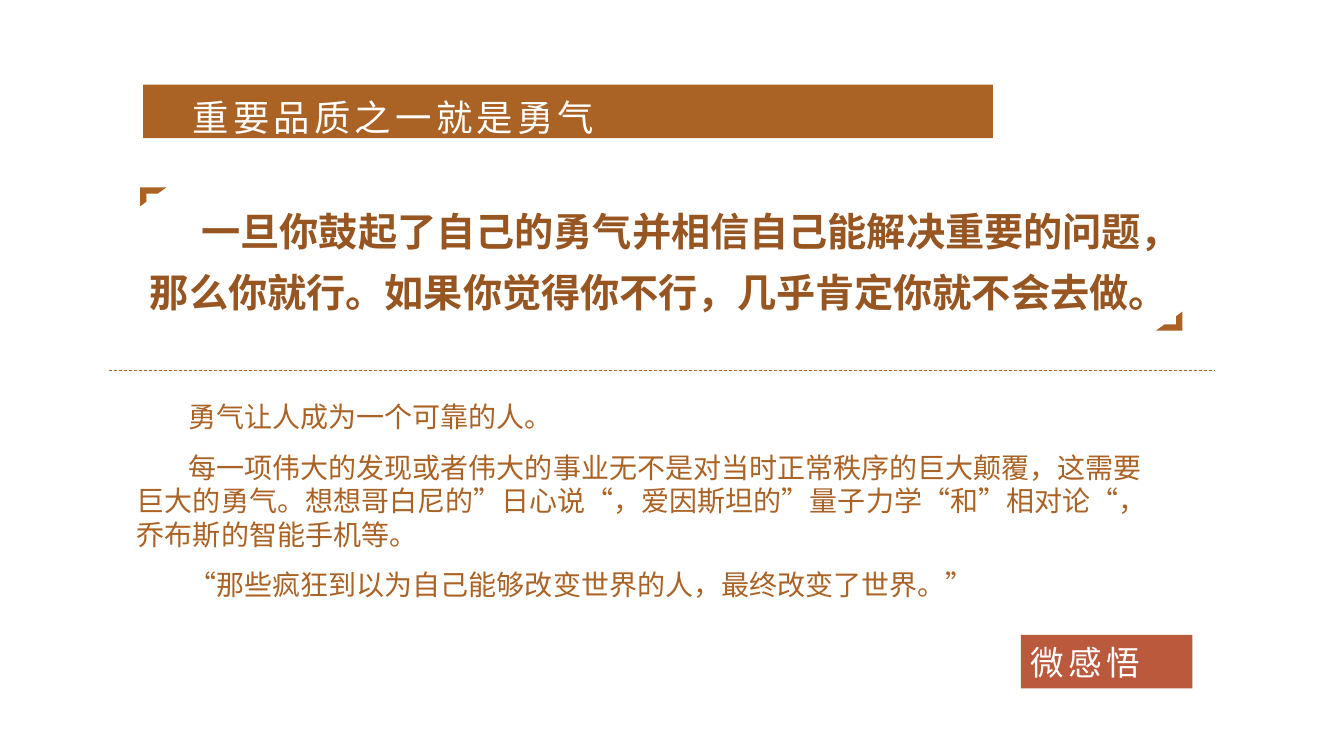
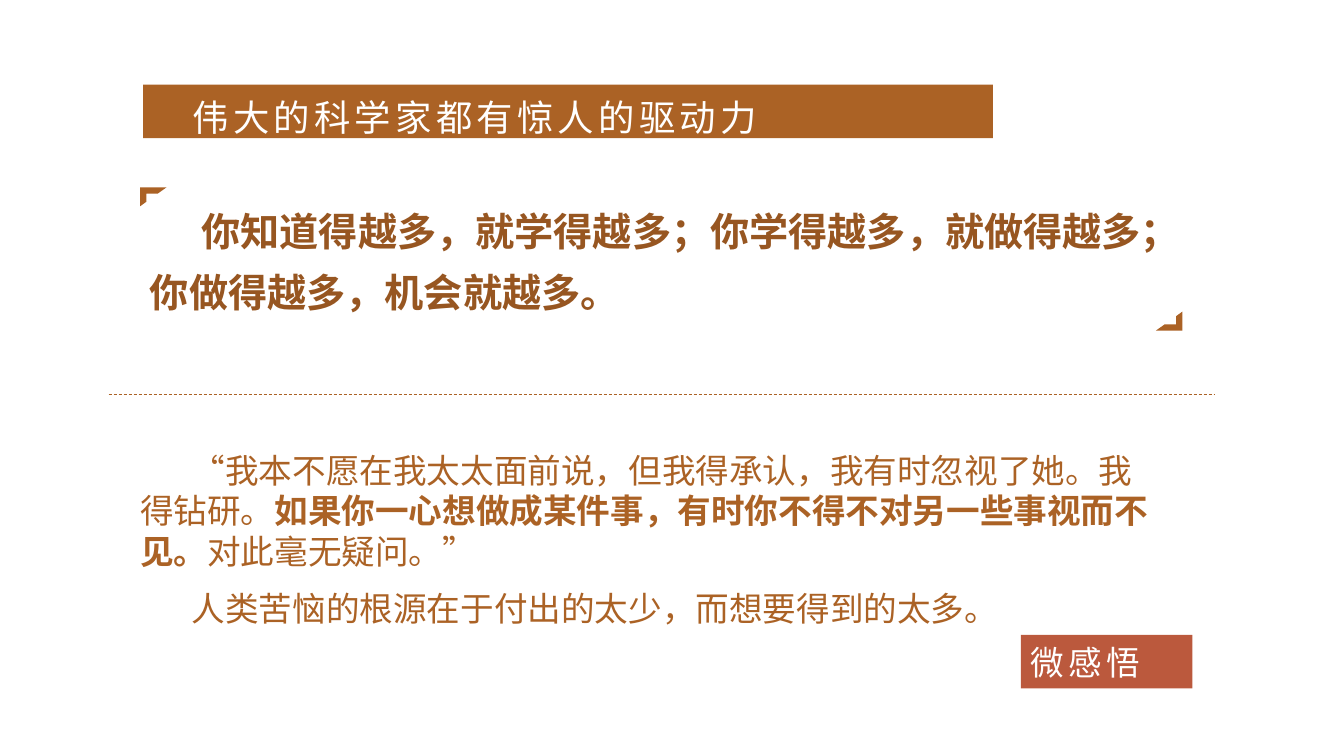
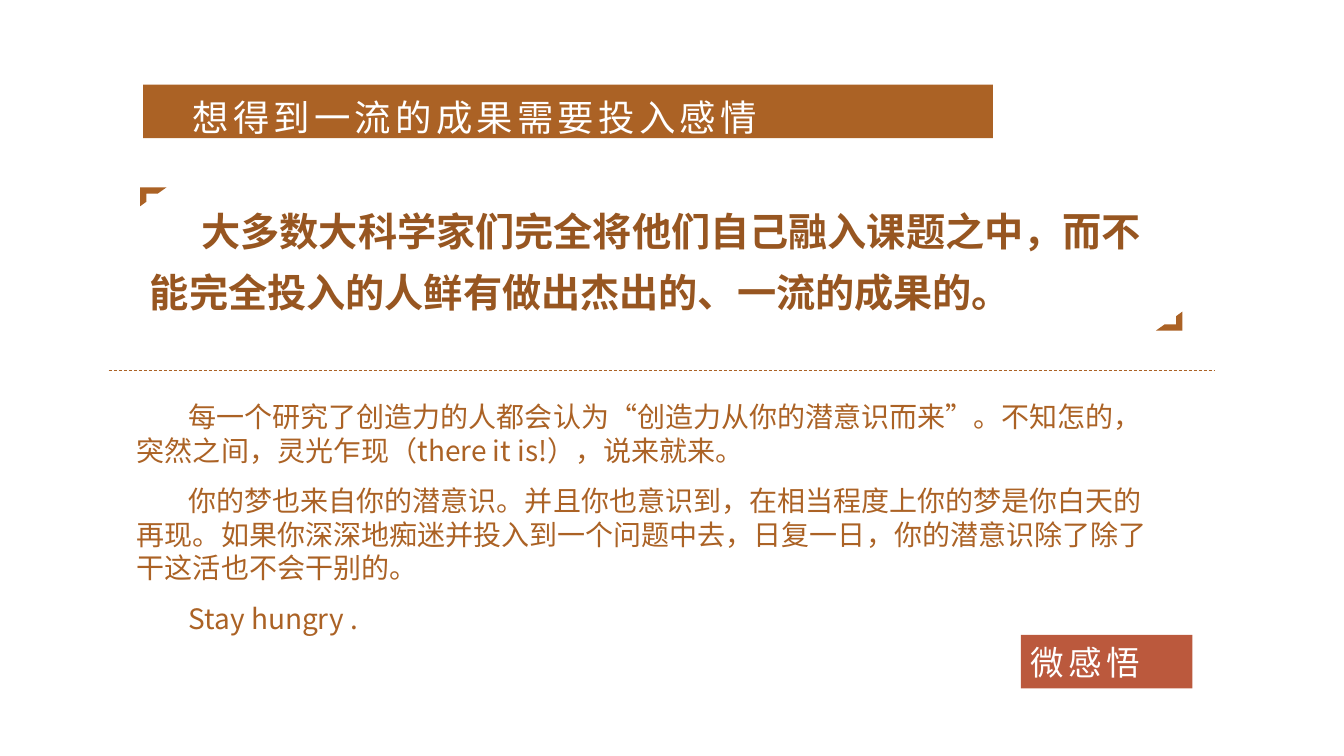
from lxml.etree import SubElement
from pptx import Presentation
from pptx.dml.color import RGBColor
from pptx.enum.dml import MSO_LINE
from pptx.enum.lang import MSO_LANGUAGE_ID as LANGUAGE
from pptx.enum.shapes import MSO_CONNECTOR, MSO_SHAPE
from pptx.enum.text import MSO_ANCHOR, MSO_AUTO_SIZE, PP_ALIGN
from pptx.oxml.ns import qn
from pptx.util import Cm, Pt

FONT = "Noto Sans CJK SC"
BROWN, DARK_BROWN, RED, WHITE = "AB6225", "975621", "BB593D", "FFFFFF"
FIRST_INDENT = Cm(1.3)
QUOTE_LEFT, QUOTE_TOP = 3.53, 4.72
CORNER_WIDTH, CORNER_HEIGHT = 0.67, 0.48

SLIDES = [
    {
        "title": "重要品质之一就是勇气",
        "quote": "一旦你鼓起了自己的勇气并相信自己能解决重要的问题，"
                 "那么你就行。如果你觉得你不行，几乎肯定你就不会去做。",
        "divider": 9.32,
        "body_box": (3.2, 9.92, 26.26, 5.38),
        "size": 20,
        "body": [
            ["勇气让人成为一个可靠的人。"],
            ["每一项伟大的发现或者伟大的事业无不是对当时正常秩序的巨大颠覆，"
             "这需要巨大的勇气。想想哥白尼的”日心说“，爱因斯坦的”量子力学“"
             "和”相对论“，乔布斯的智能手机等。"],
            ["“那些疯狂到以为自己能够改变世界的人，最终改变了世界。”"],
        ],
    },
    {
        "title": "伟大的科学家都有惊人的驱动力",
        "quote": "你知道得越多，就学得越多；你学得越多，就做得越多；"
                 "你做得越多，机会就越多。",
        "divider": 9.93,
        "body_box": (3.28, 11.19, 26.26, 4.78),
        "size": 24,
        "body": [
            ["“我本不愿在我太太面前说，但我得承认，我有时忽视了她。我得钻研。",
             "如果你一心想做成某件事，有时你不得不对另一些事视而不见。",
             "对此毫无疑问。”"],
            ["人类苦恼的根源在于付出的太少，而想要得到的太多。"],
        ],
    },
    {
        "title": "想得到一流的成果需要投入感情",
        "quote": "大多数大科学家们完全将他们自己融入课题之中，"
                 "而不能完全投入的人鲜有做出杰出的、一流的成果的。",
        "divider": 9.32,
        "body_box": (3.2, 9.92, 26.26, 6.25),
        "size": 20,
        "body": [
            ["每一个研究了创造力的人都会认为“创造力从你的潜意识而来”。不知怎的，"
             "突然之间，灵光乍现（there it is!），说来就来。"],
            ["你的梦也来自你的潜意识。并且你也意识到，在相当程度上你的梦是你白天的再现。"
             "如果你深深地痴迷并投入到一个问题中去，日复一日，"
             "你的潜意识除了除了干这活也不会干别的。"],
            ["Stay hungry ."],
        ],
    },
]


def paint(color_format, value):
    """Apply a hex colour to a fill or a font colour."""
    color_format.rgb = RGBColor.from_string(value)


def fill_shape(shape, value):
    """Give a shape a solid fill without outline."""
    shape.fill.solid()
    paint(shape.fill.fore_color, value)
    shape.line.fill.background()


def place(shape, left, top, width, height):
    """Move and size a shape, in centimetres."""
    shape.left, shape.top = Cm(left), Cm(top)
    shape.width, shape.height = Cm(width), Cm(height)


def add_run(paragraph, text, size, color, bold, spacing):
    """Append one formatted run to a paragraph."""
    run = paragraph.add_run()
    run.text = text
    font = run.font
    font.size, font.bold, font.name = Pt(size), bold, FONT
    font.language_id = LANGUAGE.SIMPLIFIED_CHINESE
    paint(font.color, color)
    properties = run._r.get_or_add_rPr()
    SubElement(properties, qn("a:ea")).set("typeface", FONT)
    if spacing:
        properties.set("spc", str(spacing * 100))


def write_text(shape, paragraphs, size, color, bold=False, spacing=0, indent=0,
               leading=1.2, space_before=0, inset_left=0.25, inset_top=0.15):
    """Fill a shape with paragraphs of runs; every second run turns bold."""
    frame = shape.text_frame
    frame.word_wrap = True
    frame.auto_size = MSO_AUTO_SIZE.NONE
    frame.vertical_anchor = MSO_ANCHOR.TOP
    frame.margin_left, frame.margin_right = Cm(inset_left), Cm(0.25)
    frame.margin_top, frame.margin_bottom = Cm(inset_top), Cm(0)
    for number, runs in enumerate(paragraphs):
        paragraph = frame.add_paragraph() if number else frame.paragraphs[0]
        properties = paragraph._p.get_or_add_pPr()
        properties.set("marL", "0")
        properties.set("indent", str(indent))
        properties.set("hangingPunct", "1")
        SubElement(properties, qn("a:buNone"))
        paragraph.alignment = PP_ALIGN.LEFT
        paragraph.line_spacing = Pt(round(size * leading, 1))
        paragraph.space_before = Pt(space_before if number else 0)
        for position, text in enumerate(runs):
            add_run(paragraph, text, size, color, bold or position % 2 == 1, spacing)


def add_block(slide, preset, color, *box):
    """Add a flat preset shape."""
    shape = slide.shapes.add_shape(preset, *map(Cm, box))
    shape.shadow.inherit = False
    fill_shape(shape, color)
    return shape


def add_title(slide, text):
    """Turn the title placeholder into the brown title band."""
    title = slide.shapes.title
    place(title, 3.61, 2.13, 21.41, 1.35)
    fill_shape(title, BROWN)
    write_text(title, [[text]], 26, WHITE, spacing=3, leading=1.37,
               inset_left=1.24, inset_top=0.12)


def add_body(slide, content):
    """Write the commentary into the body placeholder."""
    body = slide.placeholders[1]
    place(body, *content["body_box"])
    write_text(body, content["body"], content["size"], BROWN,
               indent=FIRST_INDENT, space_before=12)


def add_quote(slide, text):
    """Add the bold quotation between its two corner marks."""
    box = slide.shapes.add_textbox(Cm(QUOTE_LEFT), Cm(QUOTE_TOP), Cm(26.34), Cm(3.23))
    write_text(box, [[text]], 28, DARK_BROWN, bold=True, indent=FIRST_INDENT, leading=1.56)
    for left, top, rotation in [(QUOTE_LEFT, QUOTE_TOP, 0), (29.13, 7.85, 180)]:
        corner = add_block(slide, MSO_SHAPE.HALF_FRAME, BROWN,
                           left, top, CORNER_WIDTH, CORNER_HEIGHT)
        corner.rotation = rotation


def add_divider(slide, top):
    """Add the thin dashed line under the quotation."""
    divider = slide.shapes.add_connector(
        MSO_CONNECTOR.STRAIGHT, Cm(2.74), Cm(top), Cm(30.61), Cm(top))
    divider.line.width = Pt(0.5)
    divider.line.dash_style = MSO_LINE.DASH
    paint(divider.line.color, BROWN)
    SubElement(divider._element.spPr, qn("a:effectLst"))


def add_badge(slide):
    """Add the red label in the lower right corner."""
    badge = add_block(slide, MSO_SHAPE.RECTANGLE, RED, 25.73, 16, 4.32, 1.35)
    write_text(badge, [["微感悟"]], 24, WHITE, spacing=3, inset_top=0.18)


def main():
    """Build the presentation."""
    presentation = Presentation()
    presentation.slide_width, presentation.slide_height = Cm(33.87), Cm(19.05)
    for content in SLIDES:
        slide = presentation.slides.add_slide(presentation.slide_layouts[1])
        add_title(slide, content["title"])
        add_body(slide, content)
        add_quote(slide, content["quote"])
        add_divider(slide, content["divider"])
        add_badge(slide)
    presentation.save("out.pptx")


if __name__ == "__main__":
    main()
